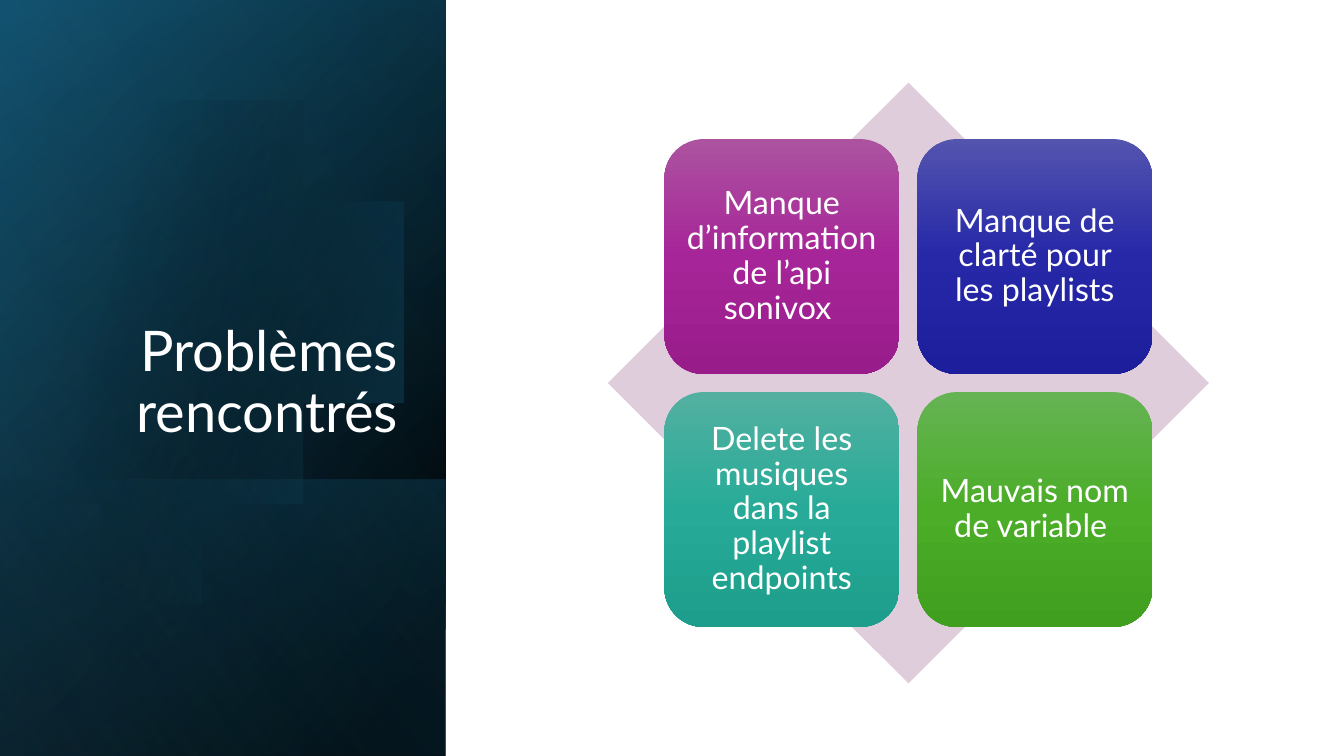
from math import cos, radians, sin

from lxml import etree
from pptx import Presentation
from pptx.dml.color import RGBColor as RGB
from pptx.enum.shapes import MSO_SHAPE as Shape
from pptx.enum.text import MSO_ANCHOR as Anchor, PP_ALIGN as Align
from pptx.oxml.ns import qn
from pptx.util import Inches, Pt

HUES = {
    "white": "FFFFFF", "black": "000000", "deep": "104862",
    "teal": "156082", "sky": "46B1E1", "mauve": "DFCDDC",
}

deck = Presentation()
deck.slide_width, deck.slide_height = Inches(13.33), Inches(7.5)
slide = deck.slides.add_slide(deck.slide_layouts[5])
shapes = slide.shapes


def shade(shape, stops, angle):
    """Fill a shape with a gradient of (place, colour, opacity) stops."""
    shape.shadow.inherit = False
    shape.line.fill.background()
    shape.fill.background()
    blank = shape._element.spPr.find(qn("a:noFill"))
    grad = etree.Element(qn("a:gradFill"), rotWithShape="1")
    row = etree.SubElement(grad, qn("a:gsLst"))
    for place, hue, alpha in stops:
        stop = etree.SubElement(row, qn("a:gs"), pos=str(place * 1000))
        tint = etree.SubElement(stop, qn("a:srgbClr"), val=HUES.get(hue, hue))
        if alpha < 100:
            etree.SubElement(tint, qn("a:alpha"), val=str(alpha * 1000))
    etree.SubElement(grad, qn("a:lin"), ang=str(angle * 60000), scaled="0")
    blank.getparent().replace(blank, grad)


def write(frame, text, size, align):
    """Set the text of a frame in white Lato."""
    frame.word_wrap = True
    frame.text = text
    para = frame.paragraphs[0]
    para.alignment, para.line_spacing = align, 0.9
    font = para.font
    font.name, font.size = "Lato", Pt(size)
    font.color.rgb = RGB.from_string(HUES["white"])


# Side panel: turned, mirrored sheets and a disc cut by the slide edge
side = 4.42
sheets = [
    (0, 7.5, [(8, "black", 100), (100, "deep", 100)], 50),
    (0, 7.5, [(0, "black", 0), (99, "teal", 46)], 30),
    (4.76, 2.74, [(2, "teal", 29), (100, "black", 30)], 130),
    None,
    (0, 7.5, [(0, "black", 0), (99, "sky", 11)], 120),
]
for sheet in sheets:
    if sheet:
        top, tall, stops, angle = sheet
        panel = shapes.add_shape(
            Shape.RECTANGLE, Inches((side - tall) / 2),
            Inches(top + (tall - side) / 2), Inches(tall), Inches(side))
        panel.rotation = 90
        panel._element.spPr.xfrm.set("flipH", "1")
        shade(panel, stops, angle)
    else:
        mid_x, mid_y, radius = 1.44, 3.39, 2.29
        rim = [(mid_x + radius * cos(radians(turn)),
                mid_y + radius * sin(radians(turn)))
               for turn in range(-129, 130, 2)]
        pen = shapes.build_freeform(*rim[0], scale=Inches(1))
        pen.add_line_segments(rim[1:], close=True)
        shade(pen.convert_to_shape(), [(29, "black", 0), (100, "teal", 43)], 14)

# Title, in front of the panel
title = shapes.title
title.left, title.top = Inches(0.64), Inches(1.84)
title.width, title.height = Inches(3.41), Inches(2.62)
shapes._spTree.append(title._element)
write(title.text_frame, "Problèmes rencontrés", 40, Align.RIGHT)
title.text_frame.vertical_anchor = Anchor.BOTTOM

# Diamond behind the cards
left, top, span = 6.03, 0.82, 5.96
gem = shapes.add_shape(
    Shape.DIAMOND, Inches(left), Inches(top), Inches(span), Inches(span))
gem.shadow.inherit = False
gem.line.fill.background()
gem.fill.solid()
gem.fill.fore_color.rgb = RGB.from_string(HUES["mauve"])

# Two by two cards, centred on the diamond
cards = [
    ("Manque d’information de l’api sonivox ", "AC53A0", "A62598", "991C8B"),
    ("Manque de clarté pour les playlists", "5354AE", "2628A8", "1D1E9B"),
    ("Delete les musiques dans la playlist endpoints",
     "53B0A1", "27AB98", "1D9D8B"),
    ("Mauvais nom de variable ", "66B354", "4BAD28", "409F1E"),
]
size, gap = 2.33, 0.18
edge = (span - 2 * size - gap) / 2
for spot, (text, *tones) in enumerate(cards):
    row, col = divmod(spot, 2)
    card = shapes.add_shape(
        Shape.ROUNDED_RECTANGLE,
        Inches(left + edge + col * (size + gap)),
        Inches(top + edge + row * (size + gap)), Inches(size), Inches(size))
    shade(card, [(step * 50, tone, 100) for step, tone in enumerate(tones)], 90)
    frame = card.text_frame
    frame.margin_left = frame.margin_right = Inches(0.1)
    frame.margin_top = frame.margin_bottom = Inches(0.1)
    frame.vertical_anchor = Anchor.MIDDLE
    write(frame, text, 23, Align.CENTER)

deck.save("out.pptx")
